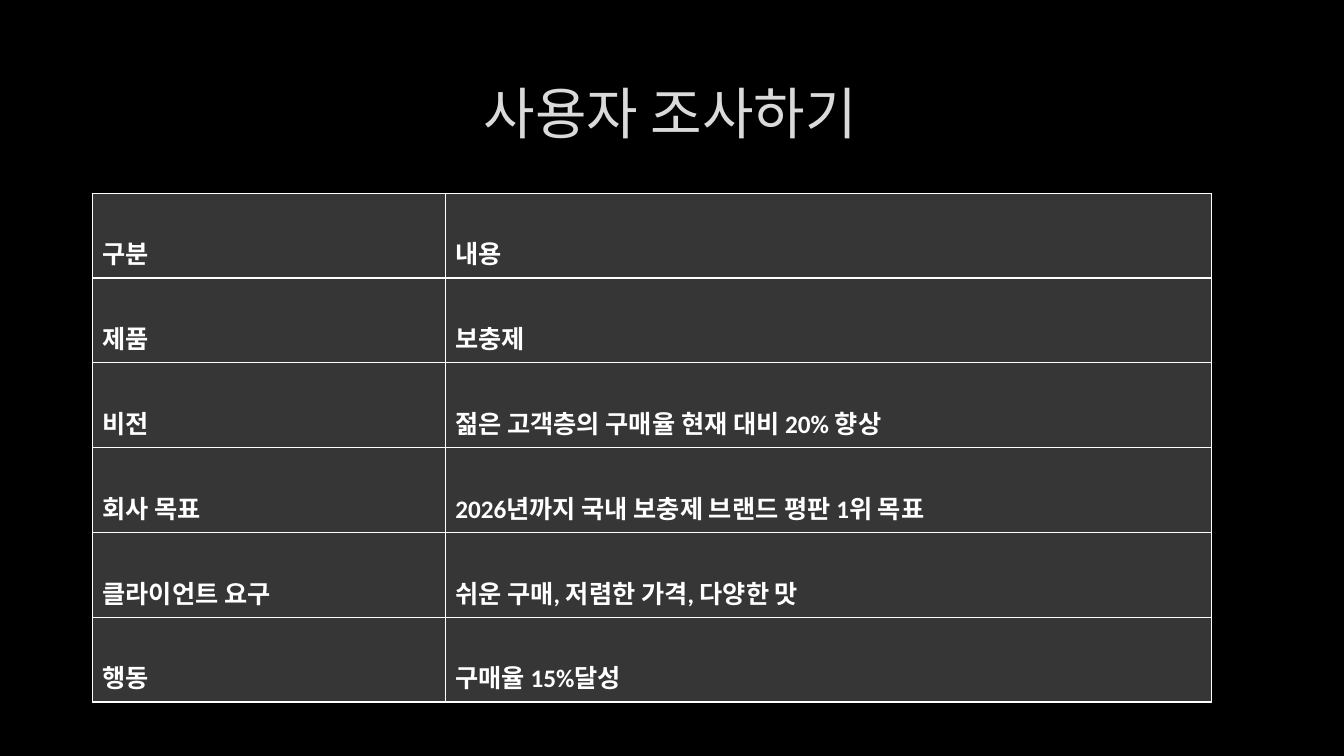
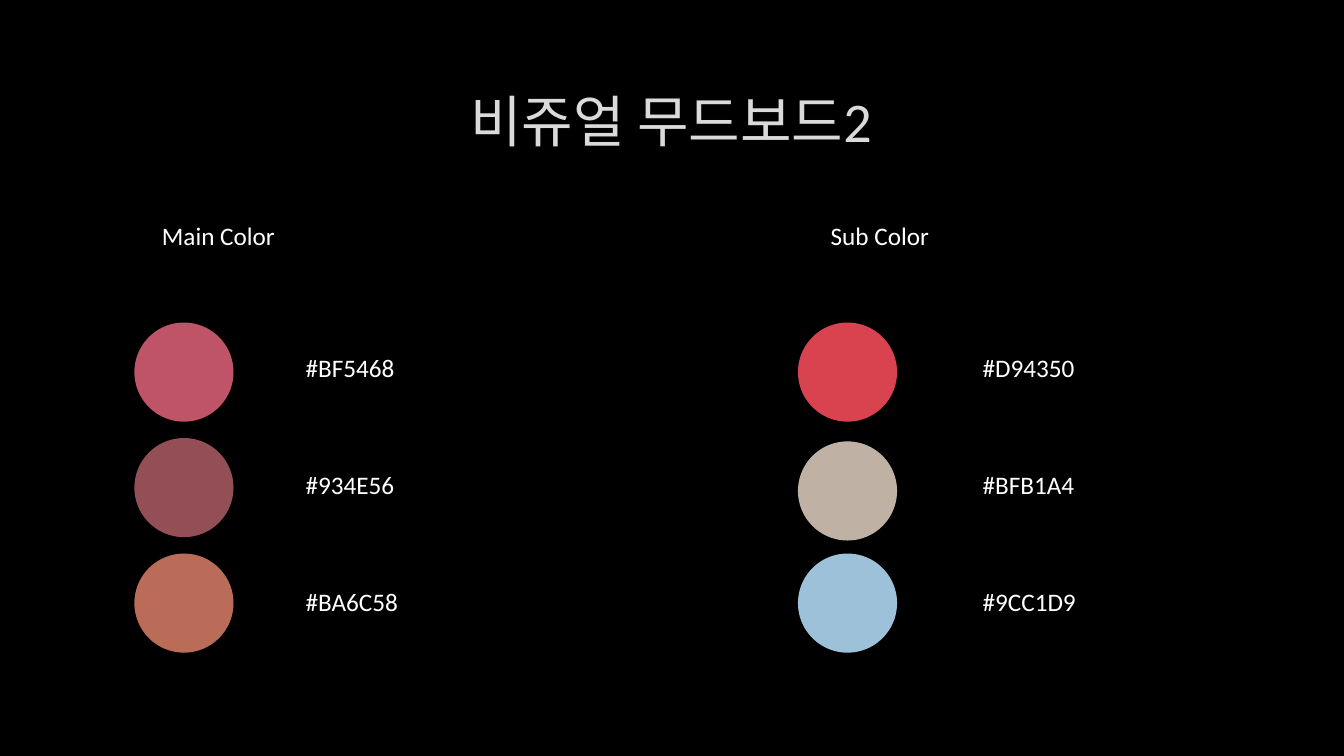
from dataclasses import dataclass

from lxml.etree import SubElement
from pptx import Presentation
from pptx.dml.color import RGBColor
from pptx.enum.shapes import MSO_SHAPE
from pptx.enum.text import MSO_ANCHOR, PP_ALIGN
from pptx.oxml import parse_xml
from pptx.oxml.ns import nsdecls, qn
from pptx.presentation import Presentation as Deck
from pptx.shapes.autoshape import Shape
from pptx.slide import Slide
from pptx.table import _Cell as Cell
from pptx.text.text import TextFrame
from pptx.util import Emu, Inches, Pt

# The slide is a grid of square units, twelve to the inch.
COLS, ROWS = 160, 90
UNIT = Inches(1) / 12

FONT = "Calibri"
BLACK = RGBColor(0x00, 0x00, 0x00)
WHITE = RGBColor(0xFF, 0xFF, 0xFF)
SILVER = RGBColor(0xDA, 0xDA, 0xDA)
EDGE = RGBColor(0x40, 0x40, 0x40)
PANEL = RGBColor(0x36, 0x36, 0x36)
ROSE = RGBColor(0xBF, 0x54, 0x68)
WINE = RGBColor(0x93, 0x4E, 0x56)
CLAY = RGBColor(0xBA, 0x6C, 0x58)
RED = RGBColor(0xD9, 0x43, 0x50)
SAND = RGBColor(0xBF, 0xB1, 0xA4)
SKY = RGBColor(0x9C, 0xC1, 0xD9)


@dataclass(frozen=True)
class Box:
    left: float
    top: float
    width: float
    height: float

    def place(self) -> tuple[Emu, Emu, Emu, Emu]:
        return (units(self.left), units(self.top),
                units(self.width), units(self.height))


@dataclass(frozen=True)
class Swatch:
    tone: RGBColor
    drop: float = 0


@dataclass(frozen=True)
class Group:
    name: str
    label: Box
    disc_left: float
    code_left: float
    items: tuple[Swatch, ...]


TABLE_LEFT, TABLE_TOP = 11, 23
TABLE_COLS = (42, 91.2)
TABLE_ROW = 10.1
FACTS = (
    ("구분", "내용"),
    ("제품", "보충제"),
    ("비전", "젊은 고객층의 구매율 현재 대비 20% 향상"),
    ("회사 목표", "2026년까지 국내 보충제 브랜드 평판 1위 목표"),
    ("클라이언트 요구", "쉬운 구매, 저렴한 가격, 다양한 맛"),
    ("행동", "구매율 15%달성"),
)

DISC, DISC_TOP, DISC_STEP = 11.8, 38.4, 13.75
CODE_TOP, CODE_STEP = 41.4, 13.9
GROUPS = (
    Group("Main Color", Box(16, 23.6, 20, 8.8), 16, 35.2,
          (Swatch(ROSE), Swatch(WINE), Swatch(CLAY))),
    Group("Sub Color", Box(94.9, 23.6, 19.7, 8.8), 95, 115.8,
          (Swatch(RED), Swatch(SAND, 0.4), Swatch(SKY))),
)


def units(count: float) -> Emu:
    return Emu(round(count * UNIT))


def write(frame: TextFrame, text: str, size: float = 18,
          color: RGBColor = WHITE, bold: bool = False):
    """Put one run in the first paragraph and return that run."""
    run = frame.paragraphs[0].add_run()
    run.text = text
    run.font.name = FONT
    run.font.size = Pt(size)
    run.font.bold = bold
    run.font.color.rgb = color
    return run


def center(frame: TextFrame) -> None:
    frame.word_wrap = True
    frame.vertical_anchor = MSO_ANCHOR.MIDDLE
    frame.paragraphs[0].alignment = PP_ALIGN.CENTER


def add_page(deck: Deck, title: str, box: Box) -> Slide:
    """Add a black slide with its outlined title."""
    page = deck.slides.add_slide(deck.slide_layouts[6])
    page.background.fill.solid()
    page.background.fill.fore_color.rgb = BLACK
    frame = page.shapes.add_textbox(*box.place()).text_frame
    center(frame)
    run = write(frame, title, 40, SILVER)
    run.font._element.insert(0, parse_xml(
        f'<a:ln {nsdecls("a")} w="{Pt(0.75)}"><a:solidFill>'
        f'<a:srgbClr val="{EDGE}"><a:alpha val="10000"/></a:srgbClr>'
        '</a:solidFill></a:ln>'))
    return page


def add_form(page: Slide, kind: MSO_SHAPE, box: Box, tone: RGBColor) -> Shape:
    form = page.shapes.add_shape(kind, *box.place())
    form.shadow.inherit = False
    form.fill.solid()
    form.fill.fore_color.rgb = tone
    form.line.fill.background()
    return form


def rule_cell(cell: Cell) -> None:
    """Draw the four borders of a cell."""
    props = cell._tc.get_or_add_tcPr()
    for side in ("lnL", "lnR", "lnT", "lnB"):
        line = SubElement(props, qn(f"a:{side}"), w=str(Pt(1)))
        fill = SubElement(line, qn("a:solidFill"))
        SubElement(fill, qn("a:srgbClr"), val=str(WHITE))


def add_facts(page: Slide) -> None:
    box = Box(TABLE_LEFT, TABLE_TOP, sum(TABLE_COLS), TABLE_ROW * len(FACTS))
    table = page.shapes.add_table(
        len(FACTS), len(TABLE_COLS), *box.place()).table
    table.first_row = table.horz_banding = False
    for col, width in zip(table.columns, TABLE_COLS):
        col.width = units(width)
    for row, texts in zip(table.rows, FACTS):
        row.height = units(TABLE_ROW)
        for cell, text in zip(row.cells, texts):
            rule_cell(cell)
            cell.fill.solid()
            cell.fill.fore_color.rgb = PANEL
            write(cell.text_frame, text, bold=True)
            cell.text_frame.paragraphs[0].line_spacing = 2.0


def add_group(page: Slide, group: Group) -> None:
    label = add_form(page, MSO_SHAPE.RECTANGLE, group.label, BLACK)
    label.line.color.rgb = BLACK
    label.line.width = Pt(1.25)
    center(label.text_frame)
    write(label.text_frame, group.name)
    for step, item in enumerate(group.items):
        top = DISC_TOP + step * DISC_STEP + item.drop
        add_form(page, MSO_SHAPE.OVAL,
                 Box(group.disc_left, top, DISC, DISC), item.tone)
        code = Box(group.code_left, CODE_TOP + step * CODE_STEP, 16, 4.8)
        frame = page.shapes.add_textbox(*code.place()).text_frame
        frame.word_wrap = True
        write(frame, f"#{item.tone}")


def main() -> None:
    deck = Presentation()
    deck.slide_width, deck.slide_height = units(COLS), units(ROWS)
    add_facts(add_page(deck, "사용자 조사하기", Box(16.8, 4.8, 126, 17.2)))
    mood = add_page(deck, "비쥬얼 무드보드2", Box(12, 8, 135.8, 12.7))
    for group in GROUPS:
        add_group(mood, group)
    deck.save("out.pptx")


if __name__ == "__main__":
    main()
